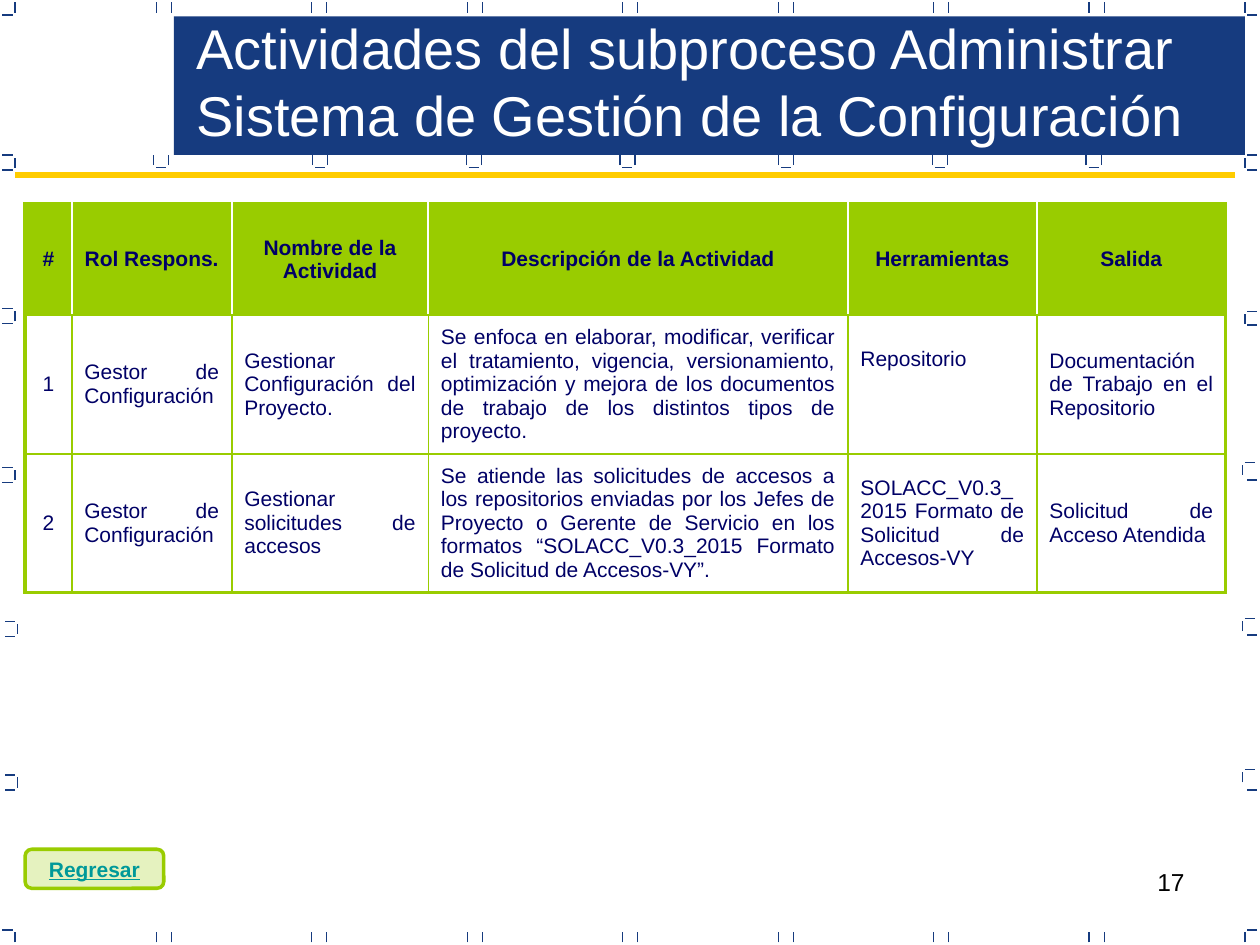
import pptx
import pptx.util
import pptx.dml.color
import pptx.enum.shapes
import pptx.enum.text
import pptx.oxml
import pptx.oxml.ns
import lxml.etree

Inches = pptx.util.Inches
Pt = pptx.util.Pt
Align = pptx.enum.text.PP_ALIGN
Anchor = pptx.enum.text.MSO_ANCHOR
Shape = pptx.enum.shapes.MSO_SHAPE
qn = pptx.oxml.ns.qn

COLORS = {
    "navy": "163B7F", "ink": "000066", "green": "99CC00", "gold": "FFCC00",
    "teal": "009999", "white": "FFFFFF", "black": "000000",
}
WIDTH, HEIGHT = 10, 7.5
TICK, GAP = 0.08, 0.02
SPAN = TICK + 2 * GAP

WIDTHS = [0.37, 1.27, 1.56, 3.33, 1.5, 1.5]
HEIGHTS = [0.88, 1.1, 1.1]
ROWS = [
    ["#", "Rol Respons.", "Nombre de la Actividad", "Descripción de la Actividad",
     "Herramientas", "Salida"],
    ["1", "Gestor de Configuración", "Gestionar Configuración del Proyecto.",
     "Se enfoca en elaborar, modificar, verificar el tratamiento, vigencia, "
     "versionamiento, optimización y mejora de los documentos de trabajo de los "
     "distintos tipos de proyecto.",
     "Repositorio", "Documentación de Trabajo en el Repositorio"],
    ["2", "Gestor de Configuración", "Gestionar solicitudes de accesos",
     "Se atiende las solicitudes de accesos a los repositorios enviadas por los "
     "Jefes de Proyecto o Gerente de Servicio en los formatos “SOLACC_V0.3_2015 "
     "Formato de Solicitud de Accesos-VY”.",
     "SOLACC_V0.3_2015 Formato de Solicitud de Accesos-VY",
     "Solicitud de Acceso Atendida"],
]


def tint(name):
    return pptx.dml.color.RGBColor.from_string(COLORS[name])


def write(frame, text, size, color, align=Align.LEFT, bold=False):
    frame.text = text
    para = frame.paragraphs[0]
    para.alignment = align
    font = para.runs[0].font
    font.name, font.size, font.bold = "Arial", Pt(size), bold
    font.color.rgb = tint(color)
    return para


def add_text(slide, box, *style):
    frame = slide.shapes.add_textbox(*map(Inches, box)).text_frame
    frame.word_wrap = True
    write(frame, *style)


def add_line(slide, start, end, color="navy", width=0.75):
    line = slide.shapes.add_connector(
        pptx.enum.shapes.MSO_CONNECTOR.STRAIGHT, *map(Inches, (*start, *end)))
    line.line.color.rgb = tint(color)
    line.line.width = Pt(width)
    lxml.etree.SubElement(line._element.spPr, qn("a:effectLst"))


def add_post(slide, x, y):
    add_line(slide, (x, y + TICK), (x, y))


def add_dash(slide, x, y):
    add_line(slide, (x, y), (x + TICK, y))


def add_ends(slide, box):
    x, y, w, h = box
    low = y + h - TICK - GAP
    for col in range(7):
        right = x + 1.36 + 1.234 * col
        for post in (right - SPAN, right):
            add_post(slide, post, y + GAP)
            add_post(slide, post, low)
    for post, dash in ((x + SPAN, x + GAP), (x + w - SPAN, x + w - TICK - GAP)):
        add_post(slide, post, y + GAP)
        add_dash(slide, dash, y + SPAN)
        add_post(slide, post, low)
        add_dash(slide, dash, low - GAP)


def add_sides(slide, box):
    x, y, w, h = box
    for dx, dy in ((0.02, 1.23), (0.02, 2.45), (0.02, 3.71), (0.04, 4.93), (0.04, 6.15)):
        add_dash(slide, x + dx, y + dy)
        add_post(slide, x + dx + TICK + GAP, y + dy + GAP)
        add_dash(slide, x + dx, y + dy + SPAN)
    for dx, dy in ((0.12, 1.23), (0.12, 2.47), (0.14, 3.67), (0.14, 4.91), (0.14, 6.11)):
        add_dash(slide, x + w - dx + GAP, y + dy)
        add_post(slide, x + w - dx, y + dy + GAP)
    for row in range(5):
        add_dash(slide, x + w - TICK - GAP, y + 1.35 + 1.23 * row)


def add_cups(slide, box):
    x, y, w, h = box
    for dx in (1.22, 2.48, 3.7, 4.92, 6.18, 7.4, 8.62):
        add_post(slide, x + dx, y)
        add_post(slide, x + dx + SPAN, y)
        add_dash(slide, x + dx + GAP, y + h)


def add_head(slide, box):
    x, y, w, h = box
    band = slide.shapes.add_shape(Shape.RECTANGLE, *map(Inches, box))
    band.shadow.inherit = False
    band.fill.solid()
    band.fill.fore_color.rgb = tint("navy")
    band.line.fill.background()
    add_text(slide, (x + 0.08, y - 0.07, w + 0.53, h + 0.07),
             "Actividades del subproceso Administrar Sistema de Gestión de la Configuración",
             32, "white")
    add_line(slide, (x - 1.26, y + h + 0.16), (x + w - 0.08, y + h + 0.16), "gold", 3)


def add_edge(cell, side, color, width):
    edge = lxml.etree.SubElement(
        cell._tc.get_or_add_tcPr(), qn("a:ln" + side), w=str(Pt(width)))
    fill = lxml.etree.SubElement(edge, qn("a:solidFill"))
    lxml.etree.SubElement(fill, qn("a:srgbClr"), val=COLORS[color])


def set_cell(cell, text, row, col):
    top, last = row == 0, len(WIDTHS) - 1
    inner = ("white", 1.5) if top else ("green", 1)
    outer, rule = ("green", 2.25), ("green", 1.5)
    add_edge(cell, "L", *(outer if col == 0 else inner))
    add_edge(cell, "R", *(outer if col == last else inner))
    add_edge(cell, "T", *(outer if top else rule))
    add_edge(cell, "B", *(outer if row == len(ROWS) - 1 else rule))
    if top:
        cell.fill.solid()
        cell.fill.fore_color.rgb = tint("green")
    else:
        cell.fill.background()
    cell.vertical_anchor = Anchor.MIDDLE
    align = Align.CENTER if top or col == 0 else Align.JUSTIFY
    para = write(cell.text_frame, text, 12, "ink", align, top)
    para.space_before = Pt(2.4)


def add_grid(slide, box):
    grid = slide.shapes.add_table(len(ROWS), len(WIDTHS), *map(Inches, box)).table
    grid.first_row = grid.horz_banding = False
    for col, width in zip(grid.columns, WIDTHS):
        col.width = Inches(width * box[2] / sum(WIDTHS))
    for row, height in zip(grid.rows, HEIGHTS):
        row.height = Inches(height * box[3] / sum(HEIGHTS))
    for row, texts in enumerate(ROWS):
        for col, text in enumerate(texts):
            set_cell(grid.cell(row, col), text, row, col)
    grid.cell(1, 4).margin_bottom = Inches(0.45)


def add_button(slide, box):
    key = slide.shapes.add_shape(Shape.FLOWCHART_ALTERNATE_PROCESS, *map(Inches, box))
    key.shadow.inherit = False
    key.fill.solid()
    key.fill.fore_color.rgb = tint("green")
    shade = key._element.spPr.find(qn("a:solidFill")).find(qn("a:srgbClr"))
    lxml.etree.SubElement(shade, qn("a:alpha"), val="25000")
    key.line.color.rgb = tint("green")
    key.line.width = Pt(2)
    frame = key.text_frame
    frame.word_wrap = False
    frame.vertical_anchor = Anchor.MIDDLE
    para = write(frame, "Regresar", 12, "teal", Align.CENTER, True)
    para.runs[0].font.underline = True


def main():
    deck = pptx.Presentation()
    deck.slide_width, deck.slide_height = Inches(WIDTH), Inches(HEIGHT)
    slide = deck.slides.add_slide(deck.slide_layouts[6])
    page = (0, 0, WIDTH, HEIGHT)
    add_text(slide, (7.17, 6.83, 2.33, 0.52), "17", 14, "black", Align.RIGHT)
    add_ends(slide, page)
    add_sides(slide, page)
    add_cups(slide, (0, 1.23, WIDTH, 0.1))
    add_head(slide, (1.38, 0.13, 8.5, 1.1))
    add_grid(slide, (0.2, 1.62, 9.53, 3.08))
    add_button(slide, (0.2, 6.74, 1.1, 0.31))
    deck.save("out.pptx")


if __name__ == "__main__":
    main()
